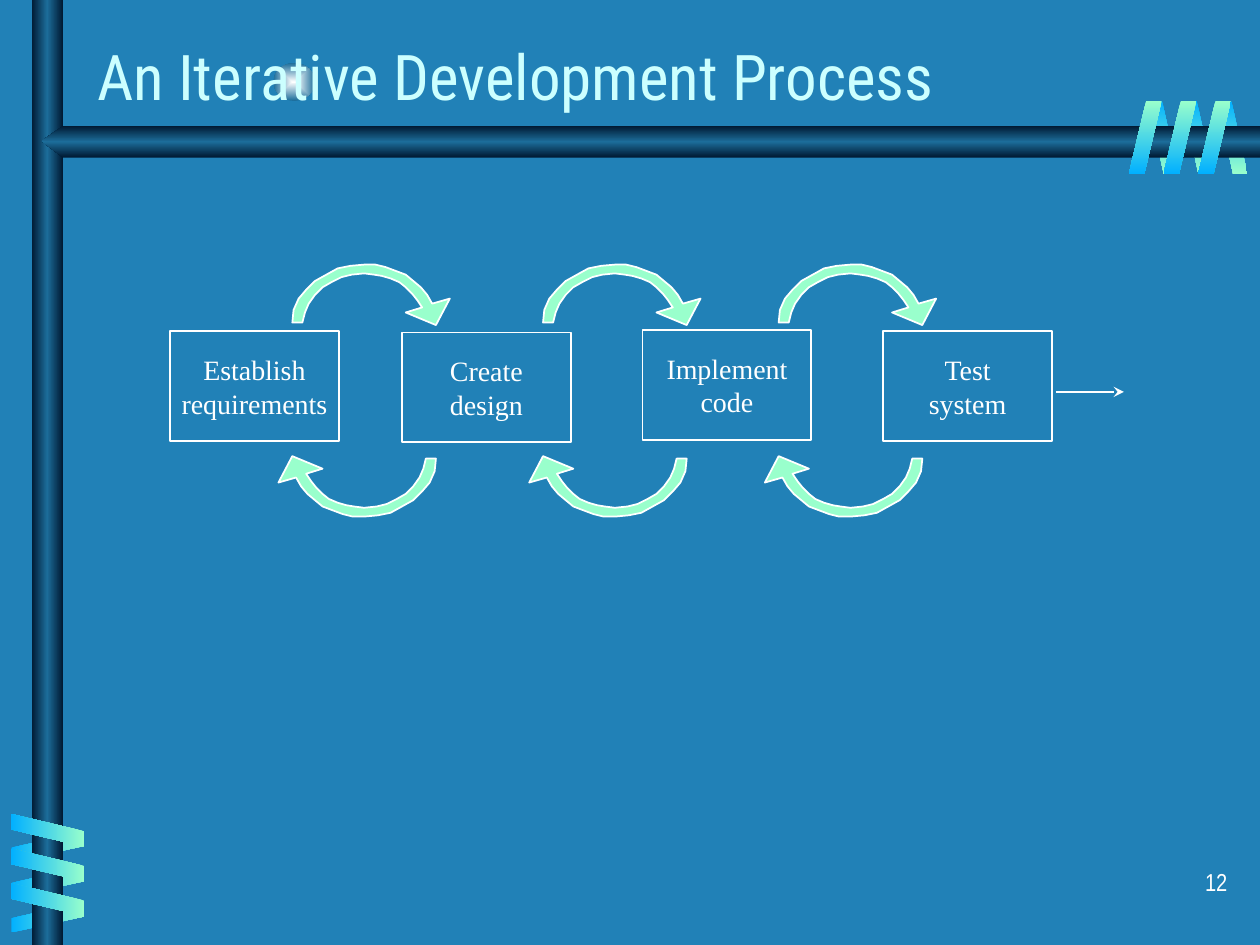
import pptx
import pptx.dml.color
import pptx.enum.shapes
import pptx.enum.text
import pptx.oxml
import pptx.oxml.ns
import pptx.util
from pptx.util import Inches

SHAPES = pptx.enum.shapes.MSO_SHAPE
ALIGN = pptx.enum.text.PP_ALIGN
ANCHOR = pptx.enum.text.MSO_ANCHOR
WHITE, MINT, SKY = "FFFFFF", "99FFCC", "01B0FF"
BAR_COLORS = ["001932", "1C6D9A", "001932"]
ARROW_POINTS = [
    (0.46, 0.34), (0.42, 0.28), (0.38, 0.23), (0.33, 0.18), (0.28, 0.14),
    (0.21, 0.11), (0.14, 0.09), (0.08, 0.08), (0, 0.07), (-0.1, 0.08),
    (-0.18, 0.1), (-0.26, 0.14), (-0.33, 0.18), (-0.39, 0.24), (-0.44, 0.31),
    (-0.47, 0.38), (-0.49, 0.46), (-0.57, 0.46), (-0.56, 0.36), (-0.52, 0.27),
    (-0.46, 0.2), (-0.39, 0.13), (-0.3, 0.08), (-0.21, 0.03), (-0.11, 0.01),
    (0, 0), (0.09, 0), (0.17, 0.02), (0.25, 0.05), (0.33, 0.08), (0.39, 0.13),
    (0.45, 0.18), (0.5, 0.24), (0.54, 0.31), (0.68, 0.27), (0.57, 0.48),
    (0.33, 0.38),
]


def rgb(color):
    return pptx.dml.color.RGBColor.from_string(color)


def set_font(paragraph, name, size, color):
    paragraph.font.name = name
    paragraph.font.size = pptx.util.Pt(size)
    paragraph.font.color.rgb = rgb(color)


def set_line(shape, color):
    shape.line.color.rgb = rgb(color)
    shape.line.width = pptx.util.Pt(1)


def fill_gradient(shape, colors, angle=None):
    step = 100000 // (len(colors) - 1)
    stops = "".join(
        f'<a:gs pos="{index * step}"><a:srgbClr val="{color}"/></a:gs>'
        for index, color in enumerate(colors)
    )
    if angle is None:
        direction = ('<a:path path="rect"><a:fillToRect l="50000" t="50000" '
                     'r="50000" b="50000"/></a:path>')
    else:
        direction = f'<a:lin ang="{angle * 60000}" scaled="0"/>'
    gradient = pptx.oxml.parse_xml(
        f'<a:gradFill {pptx.oxml.ns.nsdecls("a")} rotWithShape="0">'
        f'<a:gsLst>{stops}</a:gsLst>{direction}</a:gradFill>'
    )
    shape.fill.background()
    properties = shape._element.spPr
    properties.replace(properties.find(pptx.oxml.ns.qn("a:noFill")), gradient)
    shape.line.fill.background()


def add_shape(slide, kind, left, top, width, height):
    shape = slide.shapes.add_shape(
        kind, Inches(left), Inches(top), Inches(width), Inches(height))
    shape.shadow.inherit = False
    return shape


def add_outline(slide, points):
    corners = [(Inches(x), Inches(y)) for x, y in points]
    builder = slide.shapes.build_freeform(*corners[0])
    builder.add_line_segments(corners[1:], close=True)
    shape = builder.convert_to_shape()
    shape.shadow.inherit = False
    return shape


def add_ribbons(slide, left, top, step_x, step_y, width, colors, angle,
                rotation=0, flipped=False):
    for index in range(3):
        ribbon = add_shape(slide, SHAPES.PARALLELOGRAM, left + index * step_x,
                           top + index * step_y, width, 0.58)
        ribbon.adjustments[0] = 0.53
        ribbon.rotation = rotation
        if flipped:
            ribbon._element.spPr.get_or_add_xfrm().set("flipH", "1")
        fill_gradient(ribbon, colors, angle)


def add_decoration(slide):
    glow = add_shape(slide, SHAPES.OVAL, 2.17, 0.5, 0.33, 0.3)
    fill_gradient(glow, ["FEFFFF", "1C6D9A"])
    add_ribbons(slide, 9.11, 0.8, 0.275, 0, 0.24, [SKY, MINT], 90, 180, True)
    add_ribbons(slide, 0.26, 6.43, 0, 0.28, 0.24, [SKY, MINT], 180, 90, True)
    post = add_shape(slide, SHAPES.RECTANGLE, 0.25, 0, 0.25, 7.5)
    fill_gradient(post, BAR_COLORS, 180)
    beam = add_outline(slide, [(10, 1), (0.5, 1), (0.33, 1.12), (0.5, 1.25), (10, 1.25)])
    fill_gradient(beam, BAR_COLORS, 90)
    add_ribbons(slide, 0.25, 6.3, 0, 0.275, 0.26, [MINT, SKY], 180, 270)
    add_ribbons(slide, 8.96, 0.8, 0.275, 0, 0.26, [MINT, SKY], 90)


def add_title(slide, text):
    title = slide.shapes.title
    title.left, title.top = Inches(0.67), Inches(0.22)
    title.width, title.height = Inches(8.3), Inches(0.75)
    frame = title.text_frame
    frame.text = text
    frame.auto_size = pptx.enum.text.MSO_AUTO_SIZE.NONE
    frame.vertical_anchor = ANCHOR.MIDDLE
    frame.paragraphs[0].alignment = ALIGN.LEFT
    set_font(frame.paragraphs[0], "Roboto Condensed", 36, "CCFFFF")
    slide.shapes._spTree.append(title._element)


def add_step(slide, left, top, text):
    box = add_shape(slide, SHAPES.RECTANGLE, left, top, 1.34, 0.87)
    box.fill.background()
    set_line(box, WHITE)
    frame = box.text_frame
    frame.text = text
    frame.word_wrap = False
    frame.vertical_anchor = ANCHOR.MIDDLE
    for paragraph in frame.paragraphs:
        paragraph.alignment = ALIGN.CENTER
        set_font(paragraph, "Times New Roman", 16, WHITE)


def add_curved_arrow(slide, center_x, apex_y, direction):
    arrow = add_outline(slide, [(center_x + direction * x, apex_y + direction * y)
                                for x, y in ARROW_POINTS])
    arrow.fill.solid()
    arrow.fill.fore_color.rgb = rgb(MINT)
    set_line(arrow, WHITE)


def add_exit_arrow(slide):
    connector = slide.shapes.add_connector(
        pptx.enum.shapes.MSO_CONNECTOR.STRAIGHT,
        Inches(8.38), Inches(3.11), Inches(8.92), Inches(3.11))
    set_line(connector, WHITE)
    namespace = pptx.oxml.ns.nsdecls("a")
    connector.line._get_or_add_ln().append(
        pptx.oxml.parse_xml(f'<a:tailEnd {namespace} type="stealth"/>'))
    connector._element.spPr.append(pptx.oxml.parse_xml(f"<a:effectLst {namespace}/>"))


def add_slide_number(slide, text):
    box = slide.shapes.add_textbox(Inches(7.76), Inches(6.83), Inches(2.08), Inches(0.5))
    box.text_frame.word_wrap = True
    paragraph = box.text_frame.paragraphs[0]
    paragraph.text = text
    paragraph.alignment = ALIGN.RIGHT
    paragraph.space_before = pptx.util.Pt(8.8)
    set_font(paragraph, "Arial Narrow", 14, WHITE)


def main():
    presentation = pptx.Presentation()
    presentation.slide_width, presentation.slide_height = Inches(10), Inches(7.5)
    slide = presentation.slides.add_slide(presentation.slide_layouts[5])
    slide.background.fill.solid()
    slide.background.fill.fore_color.rgb = rgb("2181B7")
    add_decoration(slide)
    add_title(slide, "An Iterative Development Process")
    steps = [
        (1.35, 2.63, "Establish\nrequirements"),
        (3.19, 2.64, "Create\ndesign"),
        (5.1, 2.62, "Implement\ncode"),
        (7.01, 2.63, "Test\nsystem"),
    ]
    for left, top, text in steps:
        add_step(slide, left, top, text)
    add_exit_arrow(slide)
    for apex_y, direction in [(2.1, 1), (4.1, -1)]:
        for center_x in [2.89, 4.88, 6.75]:
            add_curved_arrow(slide, center_x, apex_y, direction)
    add_slide_number(slide, "12")
    presentation.save("out.pptx")


if __name__ == "__main__":
    main()
